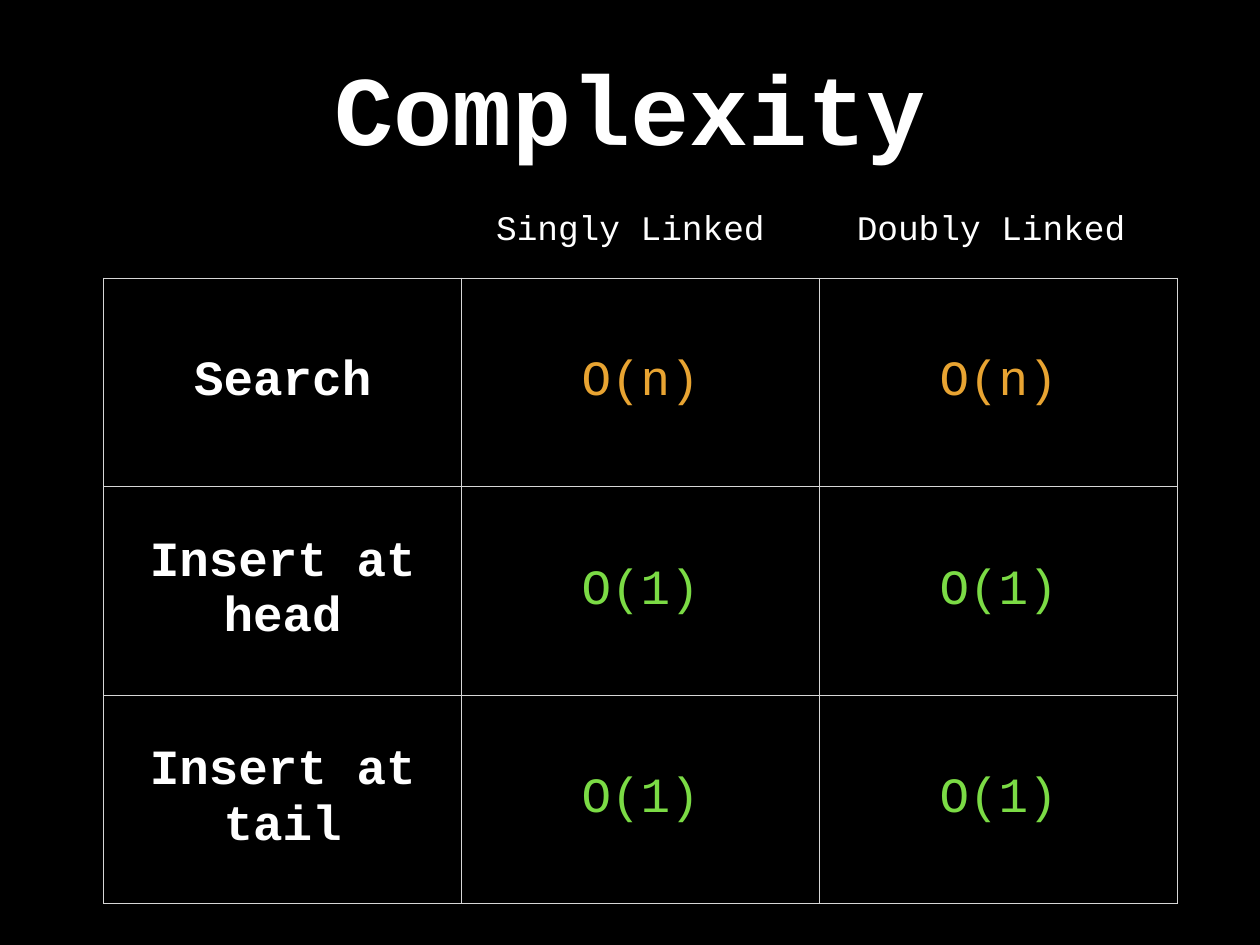
import pptx
import pptx.dml.color
import pptx.enum.text
import pptx.oxml
import pptx.oxml.ns
import pptx.util
from dataclasses import dataclass

Inches = pptx.util.Inches
Pt = pptx.util.Pt
RGBColor = pptx.dml.color.RGBColor


@dataclass(frozen=True)
class Theme:
    font: str = "Courier New"
    background: str = "000000"
    white: str = "FFFFFF"
    linear: str = "E8A432"
    constant: str = "7BDB45"
    border: str = "D6D6D6"
    title_size: int = 80
    cell_size: int = 40
    heading_size: int = 28


theme = Theme()


def write_text(frame, text, size, color=theme.white, bold=False, wrap=True):
    frame.word_wrap = wrap
    frame.vertical_anchor = pptx.enum.text.MSO_ANCHOR.MIDDLE
    frame.margin_left = frame.margin_right = Inches(0.06)
    frame.margin_top = frame.margin_bottom = Inches(0.06)
    para = frame.paragraphs[0]
    para.alignment = pptx.enum.text.PP_ALIGN.CENTER
    span = para.add_run()
    span.text = text
    span.font.name = theme.font
    span.font.size = Pt(size)
    span.font.bold = bold
    span.font.color.rgb = RGBColor.from_string(color)


def draw_borders(cell):
    properties = cell._tc.get_or_add_tcPr()
    for position, side in enumerate(("lnL", "lnR", "lnT", "lnB")):
        properties.insert(position, pptx.oxml.parse_xml(
            f'<a:{side} {pptx.oxml.ns.nsdecls("a")} w="{Pt(1)}">'
            f'<a:solidFill><a:srgbClr val="{theme.border}"/></a:solidFill></a:{side}>'
        ))


deck = pptx.Presentation()
deck.slide_width = Inches(14.22)
deck.slide_height = Inches(10.67)
page = deck.slides.add_slide(deck.slide_layouts[5])
page.background.fill.solid()
page.background.fill.fore_color.rgb = RGBColor.from_string(theme.background)

title = page.shapes.title
title.left, title.top = Inches(2.6), Inches(0.39)
title.width, title.height = Inches(9.03), Inches(1.61)
title.text_frame.auto_size = pptx.enum.text.MSO_AUTO_SIZE.NONE
write_text(title.text_frame, "Complexity", theme.title_size, bold=True)

operations = [
    ("Search", "O(n)", "O(n)"),
    ("Insert at head", "O(1)", "O(1)"),
    ("Insert at tail", "O(1)", "O(1)"),
]
cost_colors = {"O(n)": theme.linear, "O(1)": theme.constant}

column_width, row_height = Inches(4.04), Inches(2.355)
table = page.shapes.add_table(
    3, 3, Inches(1.17), Inches(3.14), column_width * 3, row_height * 3
).table
table.first_row = False
table.horz_banding = False
for column in table.columns:
    column.width = column_width
for row, values in zip(table.rows, operations):
    row.height = row_height
    for index, (cell, value) in enumerate(zip(row.cells, values)):
        cell.fill.background()
        cell.vertical_anchor = pptx.enum.text.MSO_ANCHOR.MIDDLE
        cell.margin_left = cell.margin_right = Inches(0.06)
        cell.margin_top = cell.margin_bottom = Inches(0.06)
        write_text(cell.text_frame, value, theme.cell_size,
                   color=cost_colors.get(value, theme.white), bold=index == 0)
        draw_borders(cell)

for heading, left in (("Singly Linked", 5.53), ("Doubly Linked", 9.6)):
    box = page.shapes.add_textbox(Inches(left), Inches(2.28), Inches(3.17), Inches(0.57))
    write_text(box.text_frame, heading, theme.heading_size, wrap=False)
    box.text_frame.auto_size = pptx.enum.text.MSO_AUTO_SIZE.SHAPE_TO_FIT_TEXT

deck.save("out.pptx")
